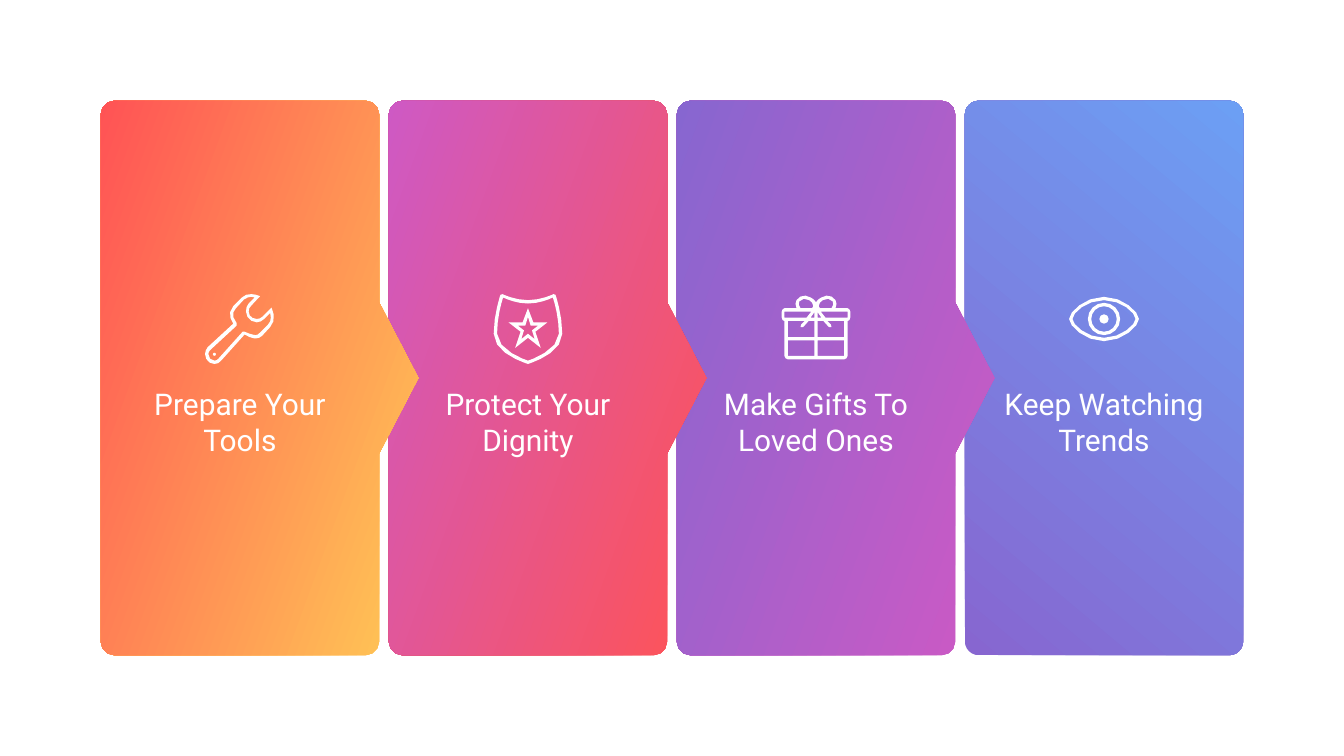
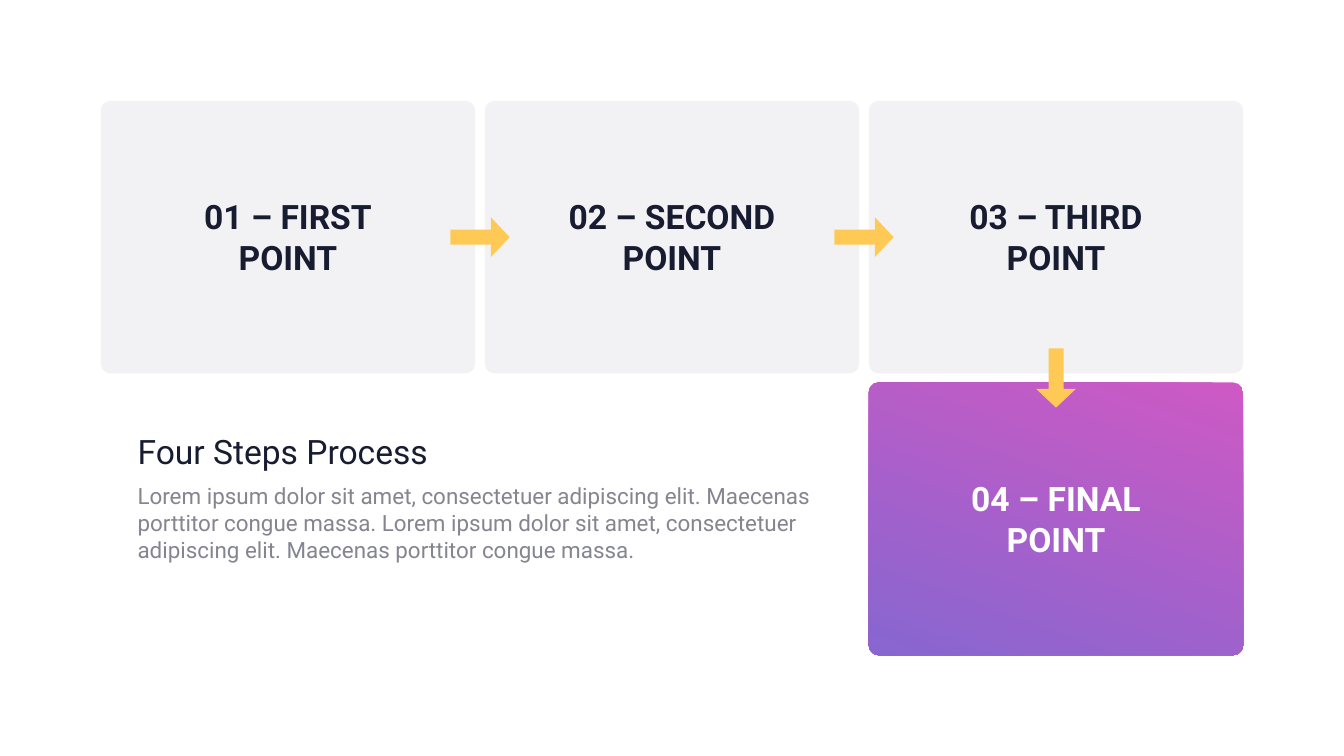
import math

import pptx
import pptx.dml.color
import pptx.enum.shapes
import pptx.enum.text
import pptx.util

Cm = pptx.util.Cm
RGB = pptx.dml.color.RGBColor
MSO = pptx.enum.shapes.MSO_SHAPE
ALIGN = pptx.enum.text.PP_ALIGN

# Shared look
WHITE = RGB(0xFF, 0xFF, 0xFF)
NAVY = RGB(0x17, 0x1C, 0x30)
GREY = RGB(0x85, 0x85, 0x91)
PALE = RGB(0xF2, 0xF2, 0xF5)
YELLOW = RGB(0xFF, 0xC9, 0x55)
RED = RGB(0xFF, 0x53, 0x55)
PINK = RGB(0xCE, 0x59, 0xC4)
PURPLE = RGB(0x87, 0x66, 0xD0)
BLUE = RGB(0x6C, 0x9F, 0xF4)
FONT = "Roboto"
MARGIN = Cm(3.81)
AREA_W, AREA_H = Cm(43.18), Cm(20.96)
UNIT = Cm(2.54) / 100  # outline coordinates are hundredths of an inch


# Outlines: a pair is a corner, six numbers are a Bezier curve
def flatten(outline):
    pts = []
    for seg in outline:
        if len(seg) == 2:
            pts.append(seg)
            continue
        (x0, y0), (x1, y1, x2, y2, x3, y3) = pts[-1], seg
        # Longer curves get more points
        steps = math.ceil(math.sqrt(math.dist((x0, y0), (x3, y3))) / 2)
        for i in range(1, steps + 1):
            t = i / steps
            u = 1 - t
            a, b, c, d = u ** 3, 3 * u * u * t, 3 * u * t * t, t ** 3
            pts.append((a * x0 + b * x1 + c * x2 + d * x3,
                        a * y0 + b * y1 + c * y2 + d * y3))
    return pts


def flip(pts):
    return [(-x, y) for x, y in reversed(pts)]


def symmetric(half):
    pts = flatten(half)
    return pts + flip(pts[1:-1])


def pair(outline):
    pts = flatten(outline)
    return [pts, flip(pts)]


def circle(cx, cy, radius):
    n = 4 * math.ceil(math.sqrt(radius) * 0.75)
    angles = [2 * math.pi * i / n for i in range(n)]
    return [(cx + radius * math.cos(a), cy + radius * math.sin(a)) for a in angles]


# Icons, measured from their top centre
WRENCH = [
    flatten([(47, 20), (33, 34), (31, 36, 28, 37, 25, 37), (18, 37, 13, 32, 13, 26),
             (13, 22, 14, 20, 17, 17), (30, 3), (25, 1, 21, 0, 17, 0),
             (11, 0, 7, 1, 3, 5), (-10, 18), (-18, 27, -15, 36, -10, 44), (-48, 79),
             (-50, 82, -52, 85, -52, 89), (-52, 97, -46, 104, -38, 104),
             (-34, 104, -30, 102, -28, 99), (7, 60), (14, 65, 22, 66, 23, 66),
             (27, 66, 30, 65, 33, 62), (45, 49), (52, 42, 52, 30, 47, 20)]),
    flatten([(13, 14), (10, 17, 9, 21, 9, 26), (9, 34, 16, 42, 25, 42),
             (29, 42, 33, 40, 36, 37), (45, 28), (47, 35, 46, 41, 42, 45), (29, 58),
             (28, 60, 25, 61, 23, 61), (23, 61, 15, 60, 7, 56), (4, 56),
             (-32, 96), (-33, 98, -36, 99, -38, 99), (-43, 99, -47, 95, -47, 89),
             (-47, 87, -46, 85, -44, 83), (-5, 47), (-5, 43),
             (-12, 34, -12, 27, -6, 21), (6, 8), (10, 5, 14, 4, 17, 4), (22, 5)]),
    circle(-38, 89.5, 2.3),
]
SHIELD = [
    symmetric([(0, 9), (20, 9, 38, 0, 38, 0), (41, 1), (41, 1, 51, 30, 51, 59),
               (51, 89, 2, 103, 0, 104)]),
    symmetric([(0, 14), (16, 14, 31, 8, 37, 5), (40, 14, 46, 36, 46, 59),
               (46, 83, 4, 98, 0, 99)]),
    symmetric([(0, 21), (8, 42), (29, 42), (11, 56), (19, 80), (0, 65)]),
    symmetric([(0, 34), (4, 47), (15, 47), (6, 54), (10, 67), (0, 59)]),
]
GIFT = [
    symmetric([(0, 12), (2, 9, 5, 6, 8, 5), (15, 0, 25, 2, 29, 9),
               (31, 12, 31, 17, 29, 21), (47, 21), (49, 21, 51, 24, 51, 26), (51, 35),
               (51, 38, 49, 40, 47, 40), (47, 92), (47, 95, 44, 97, 42, 97), (0, 97)]),
    *pair([(10, 9), (15, 6, 22, 6, 25, 11), (26, 14, 26, 18, 23, 21), (6, 21), (4, 18),
           (4, 14, 7, 11, 10, 9)]),
    *pair([(47, 35), (14, 35), (7, 26), (47, 26)]),
    *pair([(2.5, 27), (8, 35), (2.5, 35)]),
    *pair([(2.5, 40), (11, 40), (19, 49), (23, 49), (22, 45), (17, 40), (42, 40),
           (42, 64), (2.5, 64)]),
    *pair([(2.5, 69), (42, 69), (42, 92), (2.5, 92)]),
]
EYE = [
    symmetric([(0, 4), (29, 4, 52, 27, 52, 37), (52, 47, 29, 70, 0, 70)]),
    symmetric([(0, 9), (26, 9, 47, 28, 47, 37), (47, 45, 26, 65, 0, 65)]),
    *[circle(0, 37, radius) for radius in (24, 19, 7)],
]


# Building blocks
def paint(sp, fill, angle=0):
    """Fill with one colour, or with a (start, end) gradient at an angle."""
    sp.shadow.inherit = False
    sp.line.fill.background()
    if isinstance(fill, RGB):
        sp.fill.solid()
        sp.fill.fore_color.rgb = fill
        return
    sp.fill.gradient()
    sp.fill.gradient_angle = angle
    for stop, color in zip(sp.fill.gradient_stops, fill):
        stop.color.rgb = color


def add_preset(slide, kind, x, y, w, h, fill, angle=0, adj=()):
    sp = slide.shapes.add_shape(kind, x, y, w, h)
    for i, value in enumerate(adj):
        sp.adjustments[i] = value
    paint(sp, fill, angle)
    return sp


def add_outline(slide, x, y, contours, fill, angle=0):
    scaled = [[(px * UNIT, py * UNIT) for px, py in pts] for pts in contours]
    builder = slide.shapes.build_freeform(*scaled[0][0])
    for i, pts in enumerate(scaled):
        if i:
            builder.move_to(*pts[0])
        builder.add_line_segments(pts[1:], close=True)
    paint(builder.convert_to_shape(x, y), fill, angle)


def add_text(slide, text, x, y, w, h, size=36, color=NAVY, bold=False, align=ALIGN.LEFT):
    tf = slide.shapes.add_textbox(x, y, w, h).text_frame
    tf.word_wrap = True
    tf.auto_size = pptx.enum.text.MSO_AUTO_SIZE.SHAPE_TO_FIT_TEXT
    for i, line in enumerate(text.split("\n")):
        p = tf.add_paragraph() if i else tf.paragraphs[0]
        p.text = line
        p.alignment = align
        for r in p.runs:
            r.font.name = FONT
            r.font.size = pptx.util.Pt(size)
            r.font.bold = bold
            r.font.color.rgb = color


# Slide 1: four panels pointing to the next one
def pointed_outline(w, h):
    mid = h / 2
    return flatten([
        (20, 0), (w - 20, 0), (w - 9, 0, w, 9, w, 20), (w, mid - 112.5),
        (w + 58.5, mid), (w, mid + 112.5), (w, h - 20), (w, h - 9, w - 9, h, w - 20, h),
        (20, h), (9, h, 0, h - 9, 0, h - 20), (0, 20), (0, 9, 9, 0, 20, 0)])


def add_panel(slide, x, y, w, h, label, icon, colors, pointed):
    if pointed:
        add_outline(slide, x, y, [pointed_outline(w / UNIT, h / UNIT)], colors, 160)
    else:
        add_preset(slide, MSO.ROUNDED_RECTANGLE, x, y, w, h, colors, 50, [0.05])
    add_outline(slide, x + w // 2, y + Cm(7.31), icon, WHITE)
    text_w = Cm(8.79)
    add_text(slide, label, x + (w - text_w) // 2, y + Cm(10.65), text_w, Cm(3),
             size=32, color=WHITE, align=ALIGN.CENTER)


def build_panels(slide):
    panels = [("Prepare Your Tools", WRENCH, (YELLOW, RED)),
              ("Protect Your Dignity", SHIELD, (RED, PINK)),
              ("Make Gifts To Loved Ones", GIFT, (PINK, PURPLE)),
              ("Keep Watching Trends", EYE, (PURPLE, BLUE))]
    w = Cm(10.52)
    last = len(panels) - 1
    step = (AREA_W - w) // last
    # From the right, so each point overlaps the next panel
    for i in range(last, -1, -1):
        add_panel(slide, MARGIN + i * step, MARGIN, w, AREA_H, *panels[i],
                  pointed=i < last)


# Slide 2: cards joined by arrows
def add_card(slide, x, y, w, h, label, final=False):
    fill = (PINK, PURPLE) if final else PALE
    add_preset(slide, MSO.ROUNDED_RECTANGLE, x, y, w, h, fill, 250, [0.036])
    text_w, text_h = Cm(11.63), Cm(3.33)
    add_text(slide, label, x + (w - text_w) // 2, y + (h - text_h) // 2, text_w, text_h,
             color=WHITE if final else NAVY, bold=True, align=ALIGN.CENTER)


def add_arrow(slide, cx, cy, rotation=0):
    w, h = Cm(2.24), Cm(1.5)
    sp = add_preset(slide, MSO.RIGHT_ARROW, cx - w // 2, cy - h // 2, w, h, YELLOW,
                    adj=[0.378, 0.471])
    sp.rotation = rotation


def add_summary(slide, x, y, w):
    add_text(slide, "Four Steps Process", x, y, w, Cm(1.8))
    add_text(slide, "Lorem ipsum dolor sit amet, consectetuer adipiscing elit. Maecenas "
             "porttitor congue massa. Lorem ipsum dolor sit amet, consectetuer adipiscing "
             "elit. Maecenas porttitor congue massa.",
             x, y + Cm(1.96), w, Cm(3.33), size=24, color=GREY)


def build_steps(slide):
    w, h = Cm(14.15), Cm(10.31)
    step_x, step_y = (AREA_W - w) // 2, AREA_H - h
    labels = ["01 – FIRST\vPOINT", "02 – SECOND\nPOINT", "03 – THIRD\vPOINT"]
    for i, label in enumerate(labels):
        add_card(slide, MARGIN + i * step_x, MARGIN, w, h, label)
    last_x = MARGIN + 2 * step_x
    add_card(slide, last_x, MARGIN + step_y, w, h, "04 – FINAL\nPOINT", final=True)
    add_summary(slide, Cm(4.95), Cm(16.15), Cm(26.14))
    # Arrows sit in the middle of the gaps
    for i in range(2):
        add_arrow(slide, MARGIN + i * step_x + (w + step_x) // 2, MARGIN + h // 2)
    add_arrow(slide, last_x + w // 2, MARGIN + (h + step_y) // 2, rotation=90)


def main():
    prs = pptx.Presentation()
    prs.slide_width, prs.slide_height = Cm(50.8), Cm(28.58)
    for build in (build_panels, build_steps):
        build(prs.slides.add_slide(prs.slide_layouts[6]))
    prs.save("out.pptx")


if __name__ == "__main__":
    main()
